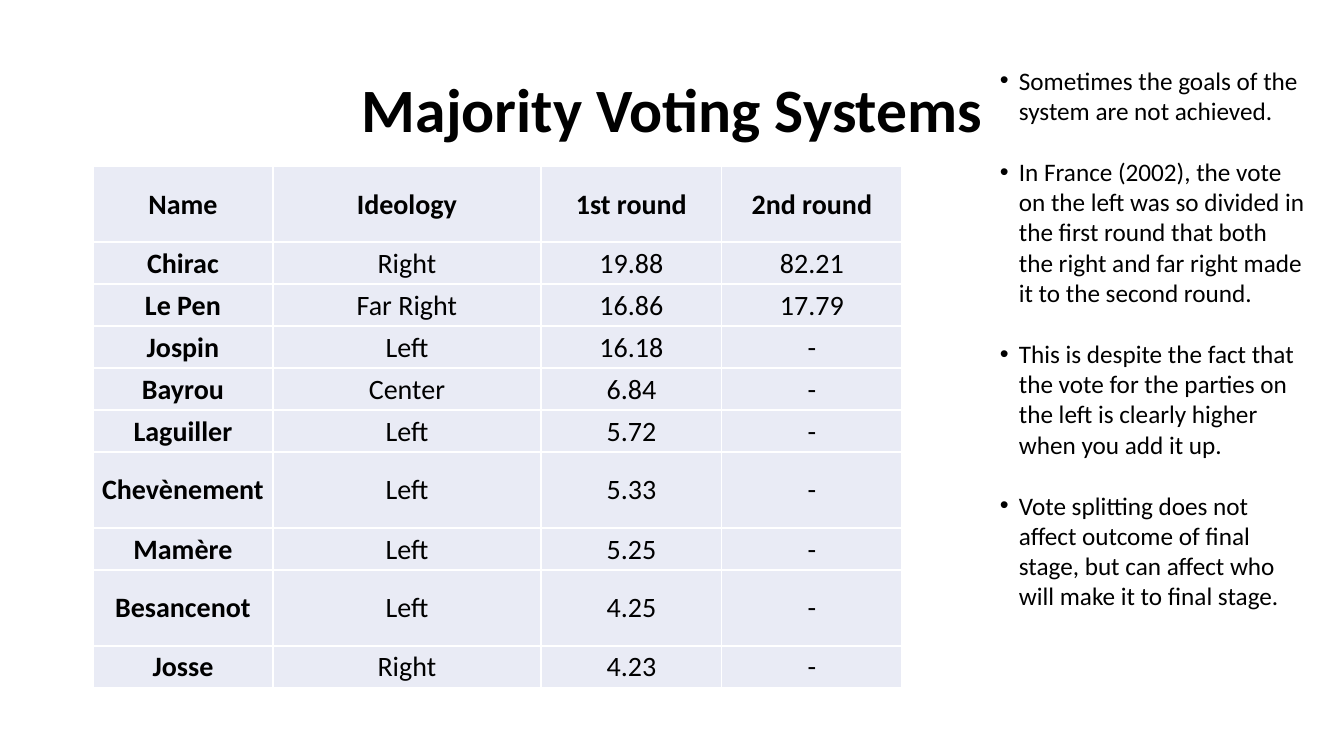
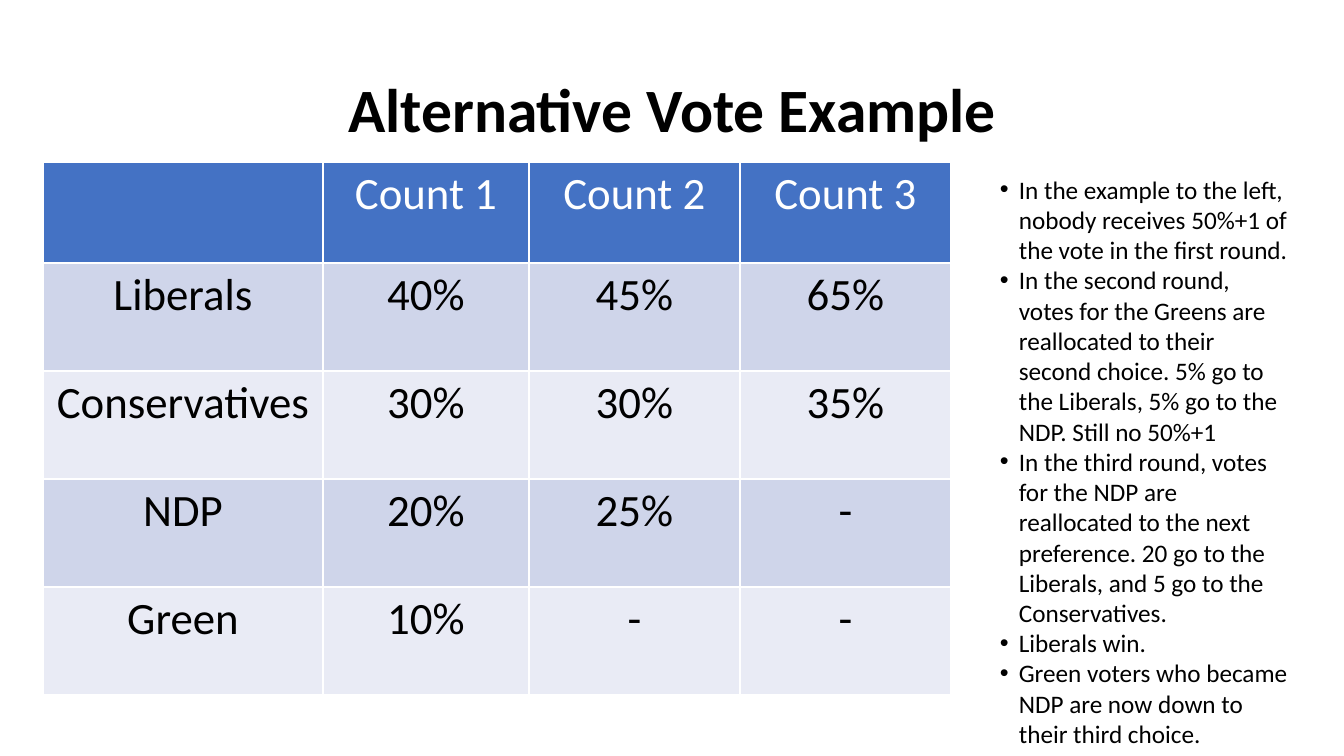
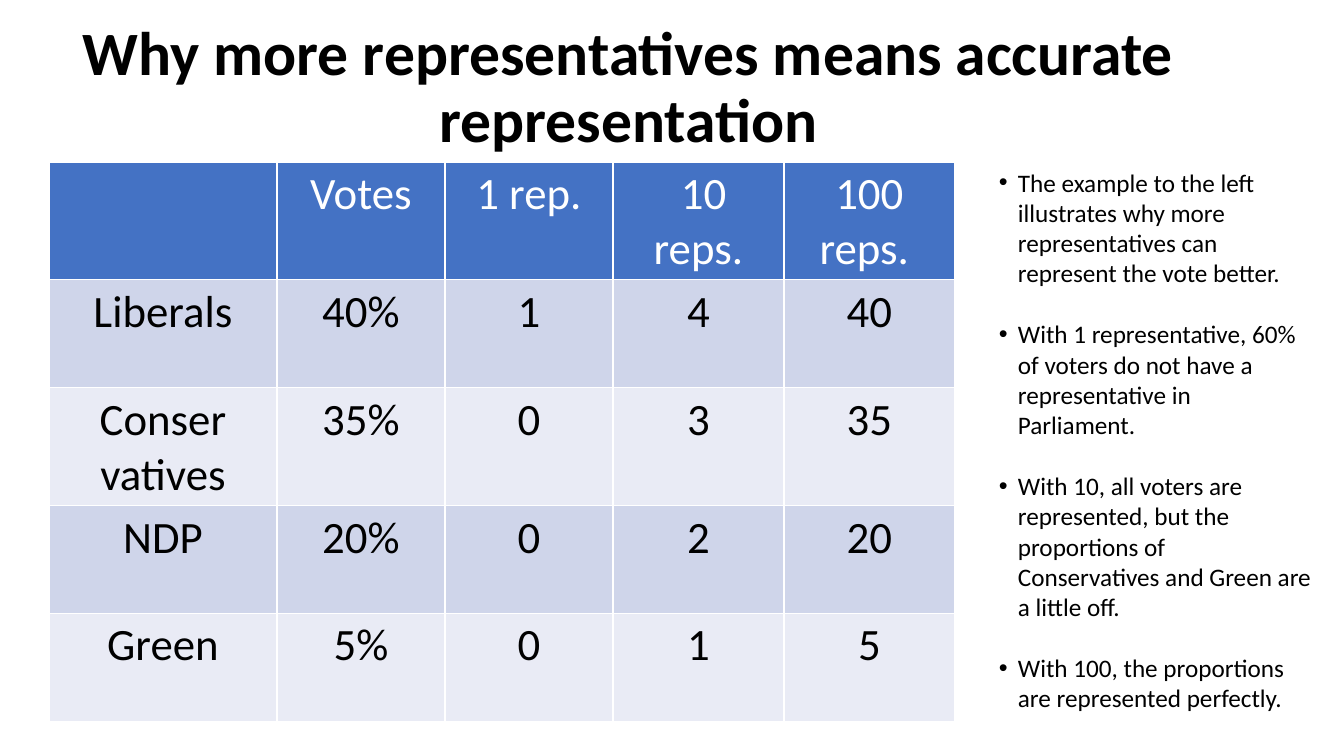
from lxml.etree import SubElement
from pptx import Presentation
from pptx.dml.color import RGBColor
from pptx.enum.text import MSO_ANCHOR as ANCHOR, MSO_AUTO_SIZE as AUTO, PP_ALIGN as ALIGN
from pptx.oxml.ns import qn
from pptx.util import Pt

PX = 914400 / 100.8
FONT = "Calibri"
BLACK, WHITE, BLUE = "000000", "FFFFFF", "4472C4"
DARK_BAND, LIGHT_BAND = "CFD5EA", "E9EBF5"
TITLE_BOX = (93, 40, 1159, 146)


def px(n):
    return round(n * PX)


def color(value):
    return RGBColor.from_string(value)


def style(p, size, value=BLACK, bold=False):
    for r in p.runs:
        r.font.name = FONT
        r.font.size = Pt(size)
        r.font.bold = bold
        r.font.color.rgb = color(value)


def text_frame(slide, box):
    tf = slide.shapes.add_textbox(*map(px, box)).text_frame
    tf.word_wrap = True
    return tf


def add_title(slide, box, text):
    tf = text_frame(slide, box)
    tf.vertical_anchor = ANCHOR.MIDDLE
    p = tf.paragraphs[0]
    p.text = text
    p.alignment = ALIGN.CENTER
    p.line_spacing = 0.9
    style(p, 44, bold=True)


def add_bullets(slide, box, items, gap=0):
    tf = text_frame(slide, box)
    tf.auto_size = AUTO.SHAPE_TO_FIT_TEXT
    for i, item in enumerate(items):
        p = tf.add_paragraph() if i else tf.paragraphs[0]
        p.text = item
        p.space_before = Pt(gap if i else 0)
        pPr = p._p.get_or_add_pPr()
        pPr.set("marL", str(px(19)))
        pPr.set("indent", str(px(-19)))
        SubElement(pPr, qn("a:buFont"), typeface="Arial")
        SubElement(pPr, qn("a:buChar"), char="•")
        style(p, 18)


def add_borders(cell):
    tcPr = cell._tc.get_or_add_tcPr()
    for side in ("a:lnL", "a:lnR", "a:lnT", "a:lnB"):
        ln = SubElement(tcPr, qn(side), w=str(Pt(1)))
        SubElement(SubElement(ln, qn("a:solidFill")), qn("a:srgbClr"), val=WHITE)


def add_grid(slide, left, top, widths, heights, rows, format_cell):
    box = map(px, (left, top, sum(widths), sum(heights)))
    table = slide.shapes.add_table(len(rows), len(widths), *box).table
    table.first_row = table.horz_banding = False
    for column, width in zip(table.columns, widths):
        column.width = px(width)
    for row, height in zip(table.rows, heights):
        row.height = px(height)
    for i, values in enumerate(rows):
        for j, value in enumerate(values):
            cell = table.cell(i, j)
            cell.text_frame.text = value
            add_borders(cell)
            cell.fill.solid()
            format_cell(cell, i, j)
            for p in cell.text_frame.paragraphs:
                p.alignment = ALIGN.CENTER


def format_candidate(cell, i, j):
    cell.fill.fore_color.rgb = color(LIGHT_BAND)
    cell.vertical_anchor = ANCHOR.MIDDLE
    cell.margin_left = cell.margin_right = cell.margin_top = px(1)
    cell.margin_bottom = 0
    style(cell.text_frame.paragraphs[0], 20, bold=i == 0 or j == 0)


def format_party(cell, i, j):
    band = DARK_BAND if i % 2 else LIGHT_BAND
    cell.fill.fore_color.rgb = color(band if i else BLUE)
    for p in cell.text_frame.paragraphs:
        style(p, 32, BLACK if i else WHITE)


def add_party_table(slide, left, widths, rows):
    heights = [101] + [108] * (len(rows) - 1)
    add_grid(slide, left, 162, widths, heights, rows, format_party)


def majority_slide(slide):
    add_title(slide, TITLE_BOX, "Majority Voting Systems")
    rows = [
        ("Name", "Ideology", "1st round", "2nd round"),
        ("Chirac", "Right", "19.88", "82.21"),
        ("Le Pen", "Far Right", "16.86", "17.79"),
        ("Jospin", "Left", "16.18", "-"),
        ("Bayrou", "Center", "6.84", "-"),
        ("Laguiller", "Left", "5.72", "-"),
        ("Chevènement", "Left", "5.33", "-"),
        ("Mamère", "Left", "5.25", "-"),
        ("Besancenot", "Left", "4.25", "-"),
        ("Josse", "Right", "4.23", "-"),
    ]
    tall = ("Name", "Chevènement", "Besancenot")
    heights = [76 if row[0] in tall else 42 for row in rows]
    add_grid(slide, 93, 166, (180, 268, 181, 180), heights, rows, format_candidate)
    add_bullets(slide, (990, 60, 325, 591), [
        "Sometimes the goals of the system are not achieved.",
        "In France (2002), the vote on the left was so divided in the first round "
        "that both the right and far right made it to the second round.",
        "This is despite the fact that the vote for the parties on the left is "
        "clearly higher when you add it up.",
        "Vote splitting does not affect outcome of final stage, but can affect who "
        "will make it to final stage.",
    ], gap=22)


def alternative_slide(slide):
    add_title(slide, TITLE_BOX, "Alternative Vote Example")
    add_party_table(slide, 43, (280, 206, 211, 211), [
        ("", "Count 1", "Count 2", "Count 3"),
        ("Liberals", "40%", "45%", "65%"),
        ("Conservatives", "30%", "30%", "35%"),
        ("NDP", "20%", "25%", "-"),
        ("Green", "10%", "-", "-"),
    ])
    add_bullets(slide, (990, 169, 310, 621), [
        "In the example to the left, nobody receives 50%+1 of the vote in the first "
        "round.",
        "In the second round, votes for the Greens are reallocated to their second "
        "choice. 5% go to the Liberals, 5% go to the NDP. Still no 50%+1",
        "In the third round, votes for the NDP are reallocated to the next "
        "preference. 20 go to the Liberals, and 5 go to the Conservatives.",
        "Liberals win.",
        "Green voters who became NDP are now down to their third choice.",
    ])


def representatives_slide(slide):
    add_title(slide, (49, 16, 1159, 146),
              "Why more representatives means accurate representation")
    add_party_table(slide, 49, (228, 168, 168, 171, 171), [
        ("", "Votes", "1 rep.", " 10 reps.", "100 reps. "),
        ("Liberals", "40%", "1", "4", "40"),
        ("Conser\nvatives", "35%", "0", "3", "35"),
        ("NDP", "20%", "0", "2", "20"),
        ("Green", "5%", "0", "1", "5"),
    ])
    add_bullets(slide, (989, 162, 333, 591), [
        "The example to the left illustrates why more representatives can represent "
        "the vote better.",
        "With 1 representative, 60% of voters do not have a representative in "
        "Parliament.",
        "With 10, all voters are represented, but the proportions of Conservatives "
        "and Green are a little off.",
        "With 100, the proportions are represented perfectly.",
    ], gap=22)


prs = Presentation()
prs.slide_width, prs.slide_height = px(1344), px(756)
for build in (majority_slide, alternative_slide, representatives_slide):
    build(prs.slides.add_slide(prs.slide_layouts[6]))
prs.save("out.pptx")
